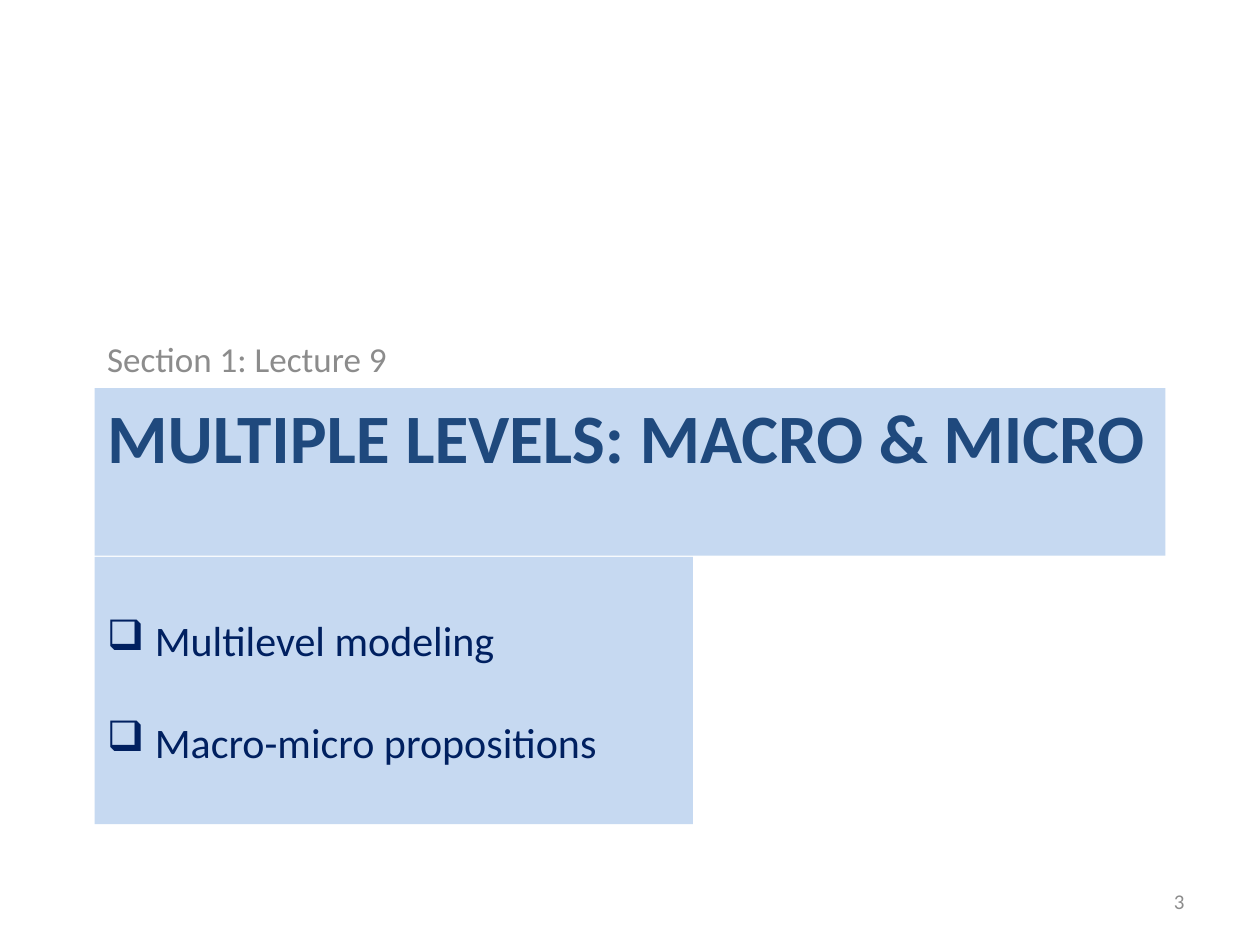
from pptx import Presentation
from pptx.dml.color import RGBColor
from pptx.enum.text import MSO_ANCHOR as Anchor, MSO_AUTO_SIZE as AutoSize, PP_ALIGN as Align
from pptx.oxml import parse_xml
from pptx.oxml.ns import nsdecls
from pptx.util import Inches, Pt

PANEL, TITLE, TOPIC, MUTED = "C6D9F1", "1F497D", "002060", "8C8C8C"
LEFT, WIDTH = 0.75, 8.5


def color(value):
    return RGBColor.from_string(value)


def place(shape, box, fill=None):
    shape.left, shape.top, shape.width, shape.height = map(Inches, box)
    if fill:
        shape.fill.solid()
        shape.fill.fore_color.rgb = color(fill)
    frame = shape.text_frame
    frame.word_wrap = True
    frame.auto_size = AutoSize.NONE
    return frame


def format_text(para, size, ink, bold=False):
    for span in para.runs:
        font = span.font
        font.name, font.size, font.bold = "Calibri", Pt(size), bold
        font.color.rgb = color(ink)


def add_heading(page, title_box, label_box):
    # Section title on its coloured panel
    frame = place(page.shapes.title, title_box, PANEL)
    frame.vertical_anchor = Anchor.TOP
    frame.text = "MULTIPLE LEVELS: MACRO & MICRO"
    para = frame.paragraphs[0]
    para.alignment = Align.LEFT
    format_text(para, 39.6, TITLE, bold=True)

    # Lecture label above the title
    frame = place(page.placeholders[1], label_box)
    frame.vertical_anchor = Anchor.BOTTOM
    frame.text = "Section 1: Lecture 9"
    para = frame.paragraphs[0]
    para.space_before = Pt(0)
    format_text(para, 20, MUTED)


def add_topics(page, box, topics):
    frame = place(page.shapes.add_textbox(0, 0, 0, 0), box, PANEL)
    frame.margin_top = Inches(0.46)
    frame.text = "\n".join(topics)
    for index, para in enumerate(frame.paragraphs):
        para.space_before = Pt(29 if index else 0)
        props = para._p.get_or_add_pPr()
        props.set("marL", str(Inches(0.38)))
        props.set("indent", str(Inches(-0.38)))
        props.append(parse_xml(f'<a:buChar {nsdecls("a")} char="❑"/>'))
        format_text(para, 24, TOPIC)


def add_page_number(page, box, number):
    frame = place(page.shapes.add_textbox(0, 0, 0, 0), box)
    frame.vertical_anchor = Anchor.MIDDLE
    frame.text = str(number)
    para = frame.paragraphs[0]
    para.alignment = Align.RIGHT
    format_text(para, 12, MUTED)


def main():
    deck = Presentation()
    deck.slide_width, deck.slide_height = Inches(10), Inches(7.5)
    page = deck.slides.add_slide(deck.slide_layouts.get_by_name("Section Header"))
    add_heading(page, (LEFT, 3.08, WIDTH, 1.33), (LEFT, 1.42, WIDTH, 1.64))
    add_topics(page, (LEFT, 4.42, 4.75, 2.12),
               ["Multilevel modeling", "Macro-micro propositions"])
    add_page_number(page, (7.17, 6.95, 2.33, 0.4), 3)
    deck.save("out.pptx")


if __name__ == "__main__":
    main()
